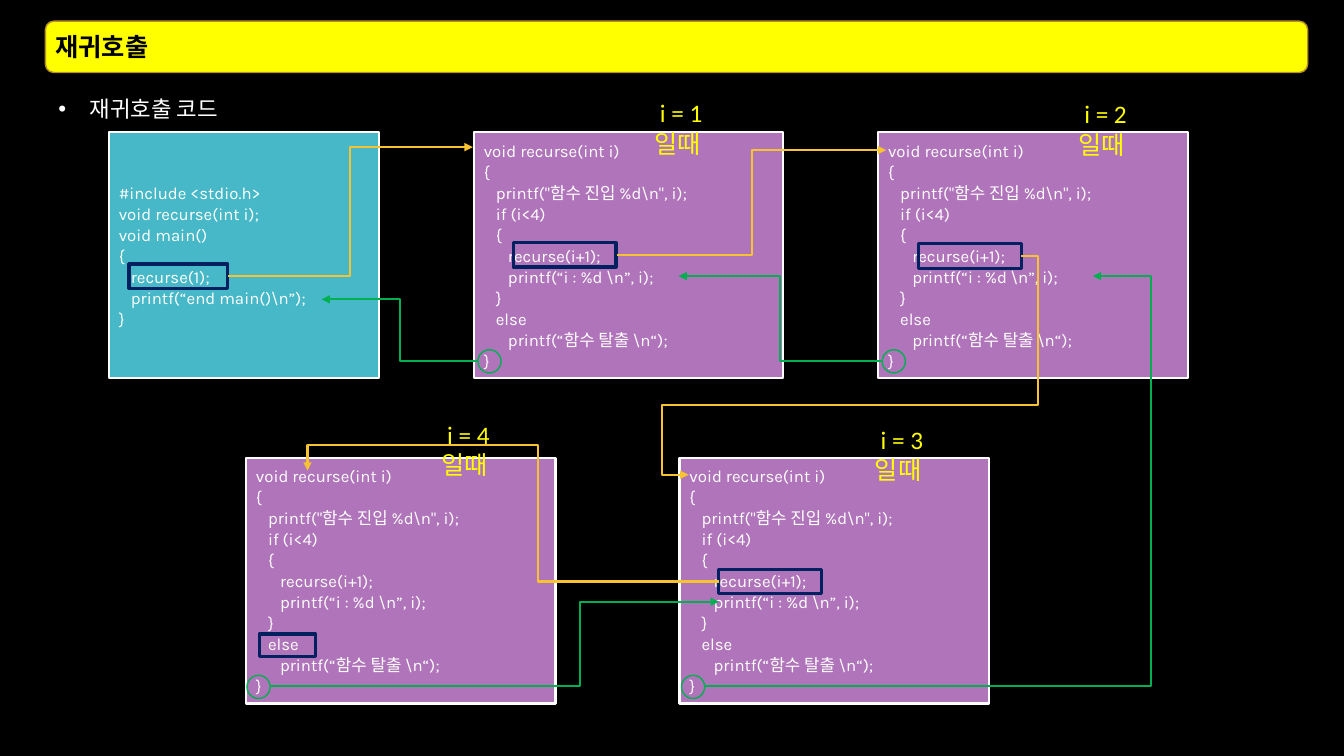
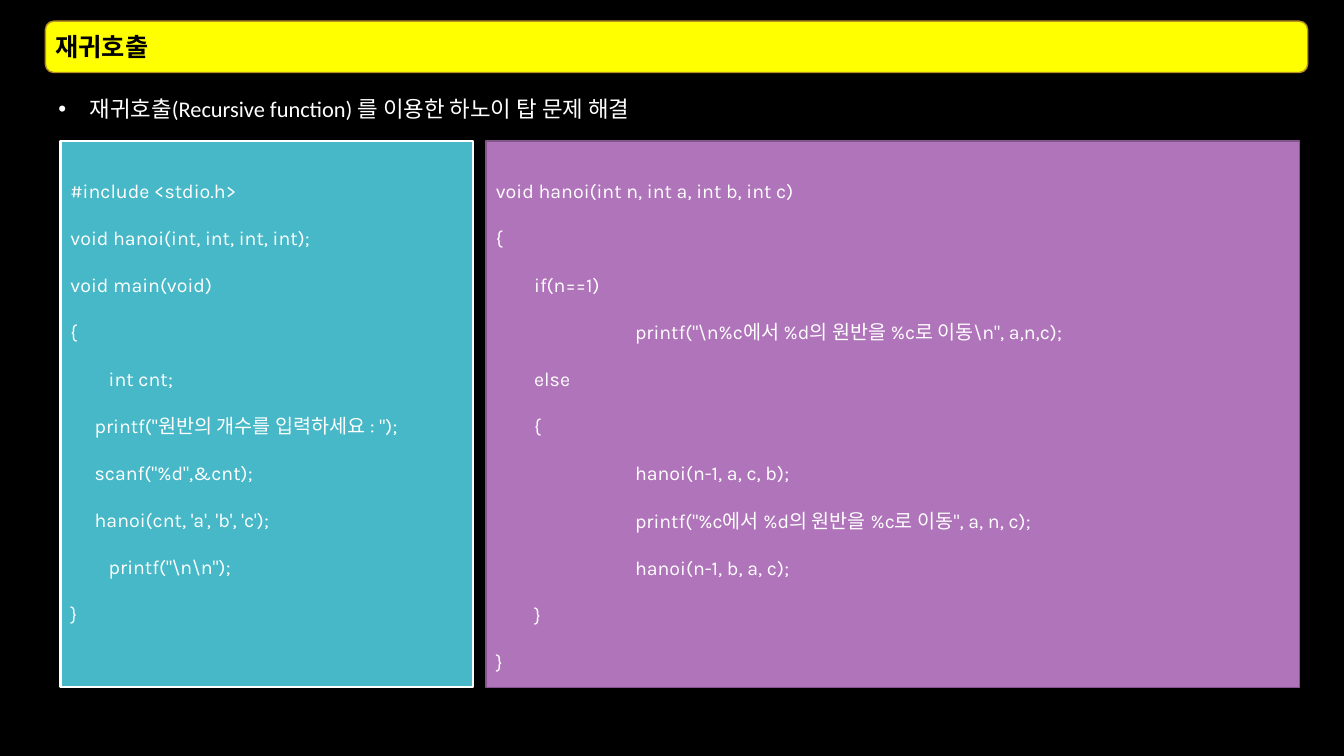
from dataclasses import dataclass

from lxml import etree
from pptx import Presentation
from pptx.dml.color import RGBColor
from pptx.enum.shapes import MSO_CONNECTOR, MSO_SHAPE
from pptx.enum.text import MSO_ANCHOR, MSO_AUTO_SIZE, PP_ALIGN
from pptx.oxml.ns import qn
from pptx.util import Inches, Pt

RECT = MSO_SHAPE.RECTANGLE
ROUND = MSO_SHAPE.ROUNDED_RECTANGLE
OVAL = MSO_SHAPE.OVAL
ELBOW = MSO_CONNECTOR.ELBOW
TOP = MSO_ANCHOR.TOP
MIDDLE = MSO_ANCHOR.MIDDLE
LEFT = PP_ALIGN.LEFT
FIXED = MSO_AUTO_SIZE.NONE


@dataclass(frozen=True)
class Theme:
    """Colours, fonts and type sizes of the deck."""
    black: str = "000000"
    white: str = "FFFFFF"
    yellow: str = "FFFF00"
    gold: str = "B79024"
    teal: str = "47B8C7"
    purple: str = "B074BA"
    plum: str = "82568A"
    navy: str = "002060"
    amber: str = "F7C331"
    green: str = "00B050"
    sans: str = "Calibri"
    code: str = "Karla"
    head: int = 18
    body: int = 16
    large: int = 14
    small: int = 12


THEME = Theme()


def rgb(tone):
    """Turn a hex string into a colour."""
    return RGBColor.from_string(tone)


def write(frame, lines, size=THEME.small, font=THEME.sans, tone=THEME.white,
          bold=False, gap=1.0, anchor=TOP, foot=0.05, bullet=None):
    """Fill a text frame with (indent, text) lines in one format."""
    frame.word_wrap = True
    frame.auto_size = FIXED
    frame.vertical_anchor = anchor
    frame.margin_left = frame.margin_right = Inches(0.1)
    frame.margin_top = Inches(0.05)
    frame.margin_bottom = Inches(foot)
    for order, (indent, text) in enumerate(lines):
        para = frame.add_paragraph() if order else frame.paragraphs[0]
        para.text = text
        para.alignment = LEFT
        para.line_spacing = gap
        para.space_before = para.space_after = Pt(0)
        props = para._p.get_or_add_pPr()
        props.set("marL", str(Inches(indent)))
        props.set("indent", str(-Inches(indent) if bullet else 0))
        if bullet:
            etree.SubElement(props, qn("a:buChar")).set("char", bullet)
        for run in para.runs:
            run.font.size = Pt(size)
            run.font.name = font
            run.font.bold = bold
            run.font.color.rgb = rgb(tone)


class Deck:
    """Hold the style and the current slide."""

    def __init__(self, theme):
        """Start a wide deck on a plain backdrop."""
        self.theme = theme
        self.show = Presentation()
        self.show.slide_width = Inches(13.33)
        self.show.slide_height = Inches(7.5)
        fill = self.show.slide_master.background.fill
        fill.solid()
        fill.fore_color.rgb = rgb(theme.black)
        self.slide = None

    def place(self, item, box):
        """Move an item to a box given in inches."""
        item.left, item.top, item.width, item.height = map(Inches, box)

    def page(self, title, topic):
        """Add a slide with a title band and one bullet."""
        look = self.theme
        self.slide = self.show.slides.add_slide(self.show.slide_layouts[1])
        head = self.slide.shapes.title
        body = self.slide.placeholders[1]
        box = (0.45, 0.21, 12.52, 0.51)
        band = self.shape(ROUND, box, look.gold, 1, look.yellow)
        body.element.addprevious(band.element)
        head.element.addprevious(band.element)
        self.place(head, box)
        self.place(body, (0.48, 0.76, 12.48, 6.46))
        write(head.text_frame, [(0, title)], size=look.head, tone=look.black,
              bold=True, anchor=MIDDLE)
        write(body.text_frame, [(0.31, topic)], size=look.body, gap=1.5,
              bullet="•")

    def shape(self, kind, box, edge, weight, fill=None):
        """Draw an outlined shape, filled or clear."""
        item = self.slide.shapes.add_shape(kind, *map(Inches, box))
        item.shadow.inherit = False
        item.line.color.rgb = rgb(edge)
        item.line.width = Pt(weight)
        if fill:
            item.fill.solid()
            item.fill.fore_color.rgb = rgb(fill)
        else:
            item.fill.background()
        return item

    def panel(self, box, lines, fill, edge=THEME.white, weight=1.5, **form):
        """Draw a filled panel of code."""
        item = self.shape(RECT, box, edge, weight, fill)
        write(item.text_frame, lines, font=self.theme.code, anchor=MIDDLE,
              **form)

    def frame(self, box):
        """Outline a call within the code."""
        self.shape(RECT, box, self.theme.navy, 2.25)

    def ring(self, left, top):
        """Circle a closing brace."""
        self.shape(OVAL, (left, top, 0.23, 0.23), self.theme.green, 1)

    def label(self, left, top, text):
        """Write a yellow caption."""
        box = self.slide.shapes.add_textbox(
            *map(Inches, (left, top, 1.2, 0.4)))
        write(box.text_frame, [(0, text)], size=self.theme.head,
              tone=self.theme.yellow)

    def wire(self, start, end, tone, bends=(0.5,)):
        """Draw an elbow arrow whose bends are shares of its span."""
        item = self.slide.shapes.add_connector(
            ELBOW, *map(Inches, start + end))
        item.line.color.rgb = rgb(tone)
        item.line.width = Pt(1.5)
        props = item.element.spPr
        form = props.find(qn("a:prstGeom"))
        form.set("prst", f"bentConnector{len(bends) + 2}")
        guides = form.find(qn("a:avLst"))
        if guides is None:
            guides = etree.SubElement(form, qn("a:avLst"))
        for order, share in enumerate(bends, 1):
            guide = etree.SubElement(guides, qn("a:gd"))
            guide.set("name", f"adj{order}")
            guide.set("fmla", f"val {round(share * 100000)}")
        tip = etree.SubElement(props.find(qn("a:ln")), qn("a:tailEnd"))
        tip.set("type", "triangle")
        etree.SubElement(props, qn("a:effectLst"))


STEP = 0.12
MAIN = [
    (0, "#include <stdio.h>"),
    (0, "void recurse(int i);"),
    (0, "void main()"),
    (0, "{"),
    (STEP, "recurse(1);"),
    (STEP, "printf(“end main()\\n”);"),
    (0, "}"),
]
CALL = [
    (0, "void recurse(int i)"),
    (0, "{"),
    (STEP, "printf(\"함수 진입 %d\\n\", i);"),
    (STEP, "if (i<4)"),
    (STEP, "{"),
    (2 * STEP, "recurse(i+1);"),
    (2 * STEP, "printf(“i : %d \\n”, i);"),
    (STEP, "}"),
    (STEP, "else"),
    (2 * STEP, "printf(“함수 탈출 \\n“);"),
    (0, "}"),
]
NEAR, TAB, FAR = 0.24, 0.38, 1.38
START = [
    (0, "#include <stdio.h>"),
    (0, "void hanoi(int, int, int, int);"),
    (0, "void main(void)"),
    (0, "{"),
    (TAB, "int cnt;"),
    (NEAR, "printf(\"원반의 개수를 입력하세요 : \");"),
    (NEAR, "scanf(\"%d\",&cnt);"),
    (NEAR, "hanoi(cnt, 'a', 'b', 'c');"),
    (TAB, "printf(\"\\n\\n\");"),
    (0, "}"),
]
HANOI = [
    (0, "void hanoi(int n, int a, int b, int c)"),
    (0, "{"),
    (TAB, "if(n==1)"),
    (FAR, "printf(\"\\n%c에서 %d의 원반을 %c로 이동\\n\", a,n,c);"),
    (TAB, "else"),
    (TAB, "{"),
    (FAR, "hanoi(n-1, a, c, b);"),
    (FAR, "printf(\"%c에서 %d의 원반을 %c로 이동\", a, n, c);"),
    (FAR, "hanoi(n-1, b, a, c);"),
    (TAB, "}"),
    (0, "}"),
]


def trace(deck):
    """Build the slide that follows the calls."""
    look = deck.theme
    deck.page("재귀호출", "재귀호출 코드")
    deck.panel((1.08, 1.31, 2.68, 2.44), MAIN, look.teal, gap=Pt(15))
    for left, top in ((4.7, 1.31), (8.71, 1.31), (6.74, 4.54), (2.44, 4.54)):
        deck.panel((left, top, 3.07, 2.44), CALL, look.purple, gap=Pt(15))
    deck.frame((1.28, 2.62, 0.98, 0.24))
    for left, top in ((5.09, 2.41), (9.11, 2.42), (7.13, 5.65)):
        deck.frame((left, top, 1.02, 0.24))
    deck.frame((2.57, 6.29, 0.56, 0.22))
    for left, top in ((4.74, 3.47), (8.75, 3.47), (6.76, 6.7), (2.45, 6.7)):
        deck.ring(left, top)
    spots = ((6.39, 0.92), (10.6, 0.93), (8.58, 4.16), (4.28, 4.11))
    for count, (left, top) in enumerate(spots, 1):
        deck.label(left, top, f" i = {count}\v일때")
    deck.wire((2.26, 2.74), (4.69, 1.46), look.amber)
    deck.wire((6.12, 2.53), (8.79, 1.49), look.amber)
    deck.wire((10.13, 2.54), (6.83, 4.71), look.amber, (-0.05, 0.68, 1.08))
    deck.wire((7.13, 5.77), (3.05, 4.67), look.amber, (0.44, 1.23))
    deck.wire((4.74, 3.58), (3.19, 2.97), look.green)
    deck.wire((8.75, 3.58), (6.73, 2.74), look.green)
    deck.wire((6.98, 6.81), (10.84, 2.74), look.green, (1.15,))
    deck.wire((2.68, 6.81), (7.13, 5.97), look.green, (0.69,))


def tower(deck):
    """Build the slide that solves the tower puzzle."""
    look = deck.theme
    deck.page("재귀호출",
              "재귀호출(Recursive function) 를 이용한 하노이 탑 문제 해결")
    deck.panel((0.6, 1.4, 4.09, 5.42), START, look.teal, size=look.large,
               gap=2.0, foot=0.52)
    deck.panel((4.82, 1.4, 8.07, 5.42), HANOI, look.purple, edge=look.plum,
               weight=1, size=look.large, gap=2.0)


def main():
    """Build and save the deck."""
    deck = Deck(THEME)
    trace(deck)
    tower(deck)
    deck.show.save("out.pptx")


if __name__ == "__main__":
    main()
